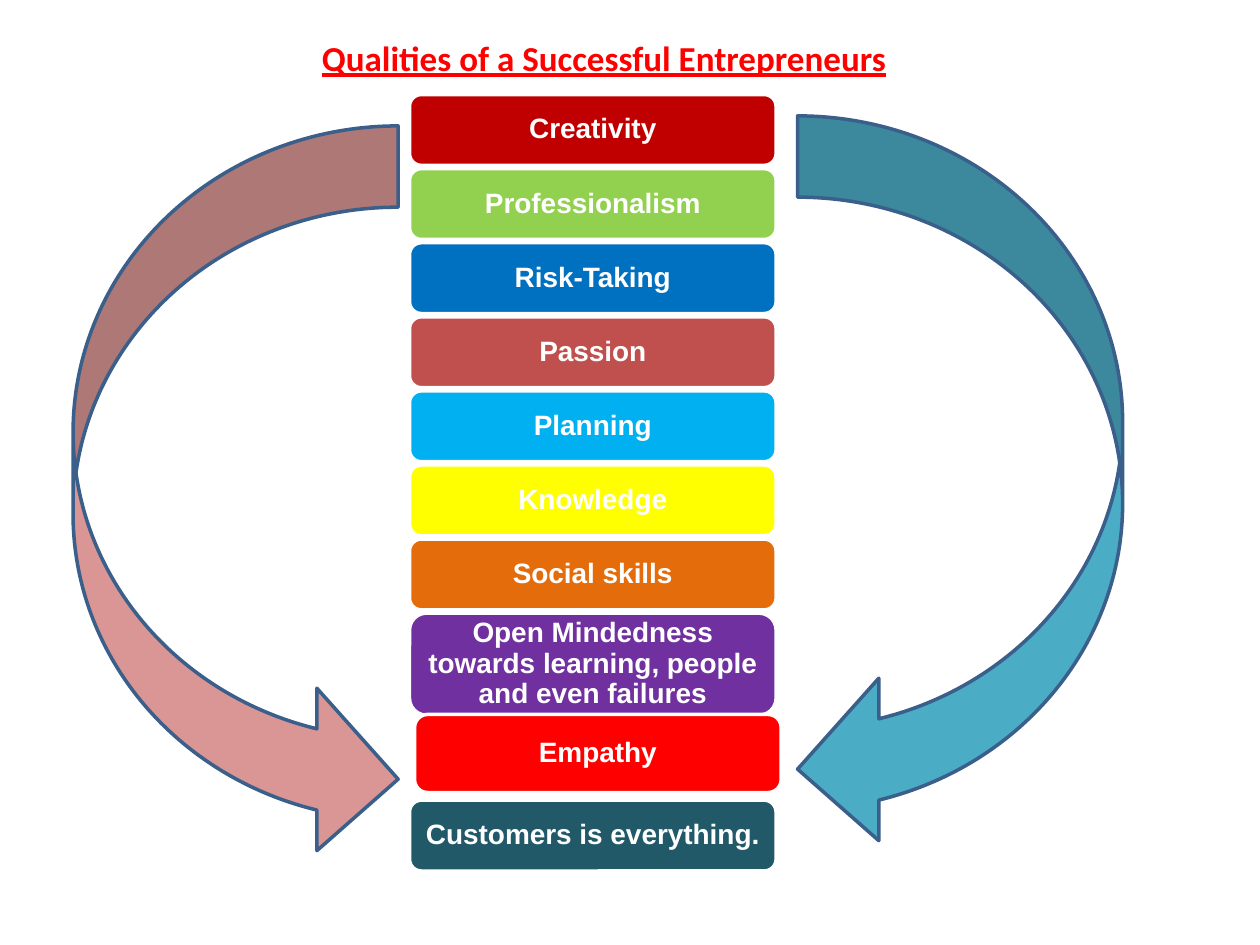
from pptx import Presentation
from pptx.dml.color import RGBColor
from pptx.enum.shapes import MSO_SHAPE
from pptx.enum.text import MSO_ANCHOR, MSO_AUTO_SIZE, PP_ALIGN
from pptx.util import Inches, Pt

BOX = MSO_SHAPE.ROUNDED_RECTANGLE
LEFT = MSO_SHAPE.CURVED_LEFT_ARROW
RIGHT = MSO_SHAPE.CURVED_RIGHT_ARROW
MID = MSO_ANCHOR.MIDDLE
CENTER = PP_ALIGN.CENTER
FIXED = MSO_AUTO_SIZE.NONE

HUES = {
    "white": "FFFFFF", "red": "FF0000", "crimson": "C00000",
    "green": "92D050", "blue": "0070C0", "brick": "C0504D",
    "sky": "00B0F0", "yellow": "FFFF00", "orange": "E46C0A",
    "purple": "7030A0", "teal": "215968", "aqua": "4BACC6",
    "rose": "D99694", "navy": "3A5F8B",
}


class Deck:
    """Style and current slide; lengths are percentages of the slide."""

    def __init__(self, wide, high):
        self.prs = Presentation()
        self.prs.slide_width = Inches(wide)
        self.prs.slide_height = Inches(high)
        self.slide = self.prs.slides.add_slide(self.prs.slide_layouts[5])

    def area(self, x, y, w, h):
        wide, high = self.prs.slide_width, self.prs.slide_height
        return [int(part * full / 100)
                for part, full in zip((x, y, w, h), (wide, high) * 2)]

    def hue(self, name):
        return RGBColor.from_string(HUES[name])

    def label(self, frame, text, font, size, hue, line=False):
        frame.word_wrap = True
        frame.auto_size = FIXED
        frame.vertical_anchor = MID
        para = frame.paragraphs[0]
        para.alignment = CENTER
        run = para.add_run()
        run.text = text
        run.font.name = font
        run.font.size = Pt(size)
        run.font.bold = True
        run.font.underline = line
        run.font.color.rgb = self.hue(hue)
        return para

    def title(self, text, *area):
        head = self.slide.shapes.title
        head.left, head.top, head.width, head.height = self.area(*area)
        self.label(head.text_frame, text, "Calibri", 20, "red", True)

    def shape(self, kind, fill, edge, *area):
        item = self.slide.shapes.add_shape(kind, *self.area(*area))
        item.shadow.inherit = False
        item.fill.solid()
        item.fill.fore_color.rgb = self.hue(fill)
        item.line.color.rgb = self.hue(edge)
        item.line.width = Pt(2)
        return item

    def box(self, text, fill, *area):
        frame = self.shape(BOX, fill, "white", *area).text_frame
        frame.margin_left = frame.margin_right = Inches(0.07)
        frame.margin_top = frame.margin_bottom = Inches(0.03)
        para = self.label(frame, text, "Arial", 16, "white")
        para.line_spacing = 0.9

    def arrow(self, kind, fill, *area):
        item = self.shape(kind, fill, "navy", *area)
        for i, share in enumerate((0.25, 0.5, 0.25)):
            item.adjustments[i] = share


def main():
    deck = Deck(10, 7.5)
    deck.title("Qualities of a Successful Entrepreneurs",
               11.7, 1.07, 72.5, 10)

    # Evenly stacked qualities
    x, top, wide, high, step = 32.5, 10, 29.1, 7.5, 7.84
    stack = [
        ("Creativity", "crimson"), ("Professionalism", "green"),
        ("Risk-Taking", "blue"), ("Passion", "brick"),
        ("Planning", "sky"), ("Knowledge", "yellow"),
        ("Social skills", "orange"),
    ]
    for i, (text, fill) in enumerate(stack):
        deck.box(text, fill, x, top + i * step, wide, high)

    # Lower qualities with their own heights
    deck.box("Open Mindedness towards learning, people and even failures",
             "purple", x, top + len(stack) * step, wide, 10.8)
    deck.box("Empathy", "red", x + 0.4, 75.6, wide, 8.27)
    deck.box("Customers is everything.", "teal", x, 84.67, wide, high)

    # Arrows on both sides
    deck.arrow(LEFT, "aqua", 63.3, 12.27, 25.8, 77.73)
    deck.arrow(RIGHT, "rose", 5.8, 13.33, 25.8, 77.73)

    deck.prs.save("out.pptx")


if __name__ == "__main__":
    main()
